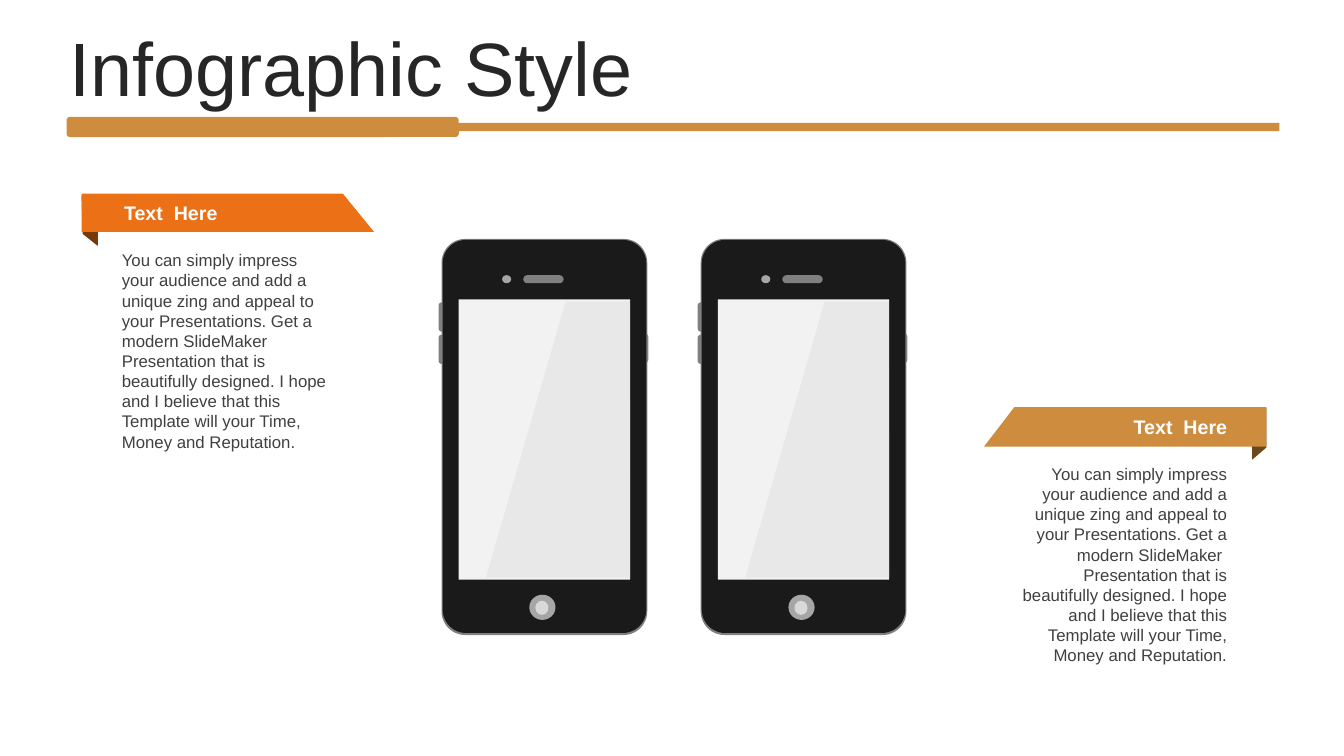
import pptx
import pptx.util
import pptx.dml.color
import pptx.enum.shapes
import pptx.enum.text
import pptx.oxml.ns
import lxml.etree

COLORS = {
    "gold": "CE8D3E", "orange": "EC7016", "dark_orange": "77380A",
    "dark_gold": "6B471B", "frame": "808080", "case": "1A1A1A",
    "screen": "F2F2F2", "glare": "999999", "button": "A6A6A6",
    "button_center": "D9D9D9", "title": "262626", "body": "404040",
    "white": "FFFFFF",
}
FONT = "Arial"
TITLE = "Infographic Style"
BODY = ("You can simply impress your audience and add a unique zing and appeal "
        "to your Presentations. Get a modern SlideMaker  Presentation that is "
        "beautifully designed. I hope and I believe that this Template will "
        "your Time, Money and Reputation.")

LEFT, RIGHT = pptx.enum.text.PP_ALIGN.LEFT, pptx.enum.text.PP_ALIGN.RIGHT
CALLOUTS = [
    {"label": "Text  Here", "body": BODY, "align": LEFT, "text_left": 1.11,
     "label_top": 1.91, "body_top": 2.43, "fill": "orange", "fold_fill": "dark_orange",
     "ribbon": [(0.81, 1.92), (3.4, 1.92), (3.71, 2.3), (0.81, 2.3)],
     "fold": [(0.81, 1.94), (0.98, 1.94), (0.97, 2.44), (0.82, 2.32)]},
    {"label": "Text  Here", "body": BODY, "align": RIGHT, "text_left": 9.99,
     "label_top": 4.04, "body_top": 4.55, "fill": "gold", "fold_fill": "dark_gold",
     "ribbon": [(12.56, 4.04), (10.06, 4.04), (9.76, 4.43), (12.56, 4.43)],
     "fold": [(12.41, 4.06), (12.56, 4.05), (12.56, 4.44), (12.42, 4.56)]},
]
TEXT_WIDTH = 2.28

# Phone parts: kind, left, top, width, height, colour, corner ratio
PHONE_LEFTS = [4.35, 6.92]
PHONE_PARTS = [
    ("round", 0, 3.0, 0.06, 0.29, "frame", 0.5),
    ("round", 0, 3.32, 0.06, 0.29, "frame", 0.5),
    ("round", 2.02, 3.31, 0.06, 0.29, "frame", 0.5),
    ("round", 0.03, 2.37, 2.04, 3.93, "frame", 0.115),
    ("round", 0.04, 2.38, 2.02, 3.9, "case", 0.115),
    ("rect", 0.2, 2.97, 1.7, 2.78, "screen", None),
    ("oval", 0.9, 5.9, 0.26, 0.25, "button", None),
    ("oval", 0.96, 5.96, 0.13, 0.14, "button_center", None),
    ("round", 0.84, 2.73, 0.4, 0.08, "frame", 0.5),
    ("oval", 0.63, 2.73, 0.09, 0.08, "button", None),
]
GLARE = [(1.26, 2.99), (1.9, 2.99), (1.91, 5.73), (0.47, 5.73)]

KINDS = {
    "rect": pptx.enum.shapes.MSO_SHAPE.RECTANGLE,
    "round": pptx.enum.shapes.MSO_SHAPE.ROUNDED_RECTANGLE,
    "oval": pptx.enum.shapes.MSO_SHAPE.OVAL,
}
Inches = pptx.util.Inches

presentation = pptx.Presentation()
presentation.slide_width = Inches(13.33)
presentation.slide_height = Inches(7.5)
slide = presentation.slides.add_slide(presentation.slide_layouts[6])


def rgb(name):
    return pptx.dml.color.RGBColor.from_string(COLORS[name])


def paint(shape, color):
    shape.shadow.inherit = False
    shape.fill.solid()
    shape.fill.fore_color.rgb = rgb(color)
    shape.line.fill.background()
    return shape


def add_part(kind, left, top, width, height, color, corner=None):
    shape = slide.shapes.add_shape(
        KINDS[kind], Inches(left), Inches(top), Inches(width), Inches(height))
    if corner is not None:
        shape.adjustments[0] = corner
    return paint(shape, color)


def add_outline(points, color):
    corners = [(Inches(x), Inches(y)) for x, y in points]
    builder = slide.shapes.build_freeform(*corners[0])
    builder.add_line_segments(corners[1:], close=True)
    return paint(builder.convert_to_shape(), color)


def add_text(text, left, top, width, height, size, color, align=LEFT,
             bold=False, middle=False, inset=0.1):
    box = slide.shapes.add_textbox(
        Inches(left), Inches(top), Inches(width), Inches(height))
    frame = box.text_frame
    frame.word_wrap = True
    frame.margin_left = Inches(inset)
    if middle:
        frame.vertical_anchor = pptx.enum.text.MSO_ANCHOR.MIDDLE
    paragraph = frame.paragraphs[0]
    paragraph.alignment = align
    run = paragraph.add_run()
    run.text = text
    run.font.name = FONT
    run.font.size = pptx.util.Pt(size)
    run.font.bold = bold
    run.font.color.rgb = rgb(color)
    return paragraph


# Phones
for phone_left in PHONE_LEFTS:
    for kind, left, *rest in PHONE_PARTS:
        add_part(kind, phone_left + left, *rest)
    glare = add_outline([(phone_left + x, y) for x, y in GLARE], "glare")
    glare_color = glare.fill._xPr.find(".//" + pptx.oxml.ns.qn("a:srgbClr"))
    lxml.etree.SubElement(glare_color, pptx.oxml.ns.qn("a:alpha"), val="10000")

# Title rule
add_part("rect", 2.89, 1.22, 9.8, 0.08, "gold")
add_part("round", 0.66, 1.16, 3.89, 0.2, "gold", 0.17)

# Callouts: folded ribbon, label and body
for callout in CALLOUTS:
    add_outline(callout["fold"], callout["fold_fill"])
    add_outline(callout["ribbon"], callout["fill"])
    add_text(callout["label"], callout["text_left"], callout["label_top"], TEXT_WIDTH,
             0.39, 14, "white", callout["align"], bold=True, middle=True, inset=0.12)
    add_text(callout["body"], callout["text_left"], callout["body_top"], TEXT_WIDTH,
             2.12, 12, "body", callout["align"])

# Title
title = add_text(TITLE, 0.59, 0.32, 12.17, 0.79, 54, "title", middle=True)
title.line_spacing = 0.9
title.space_before = pptx.util.Pt(10)

presentation.save("out.pptx")
